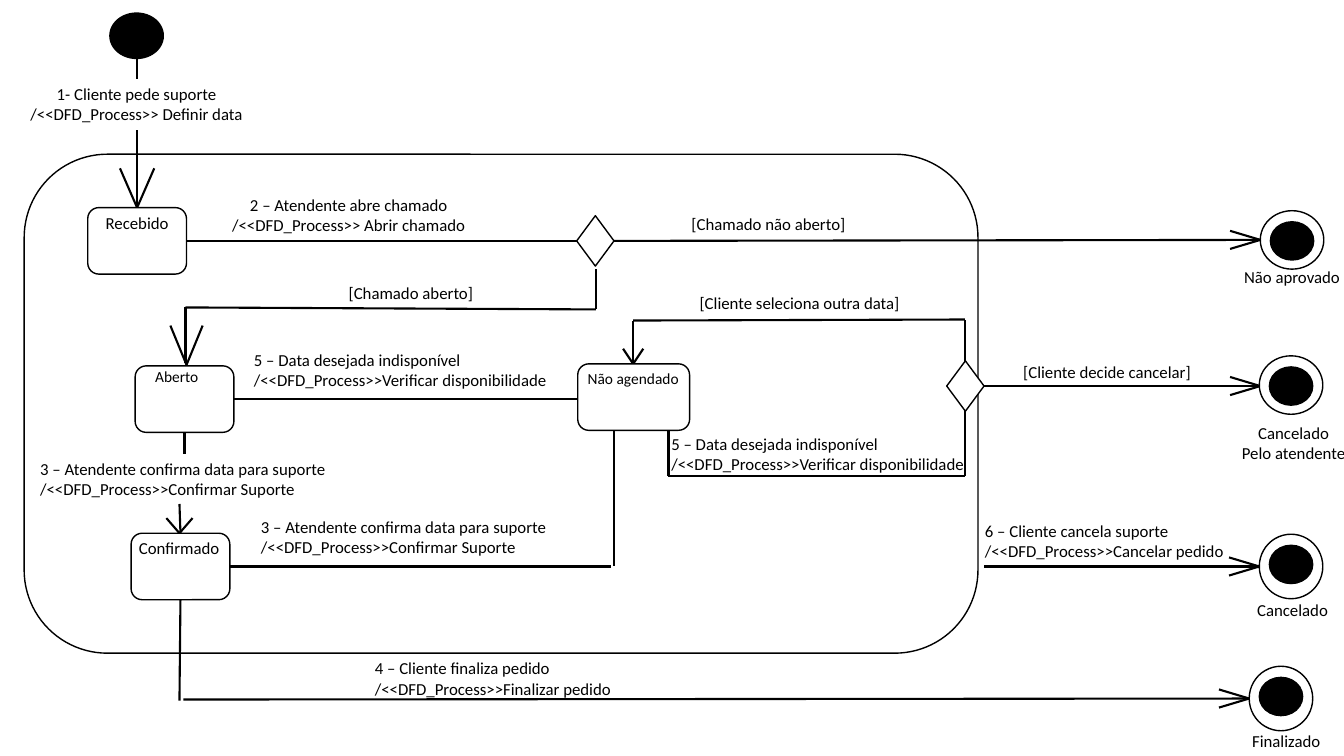
import pptx
import pptx.util
import pptx.dml.color
import pptx.enum.shapes
import pptx.enum.text
import pptx.oxml.ns
from lxml import etree

Inches = pptx.util.Inches
Shape = pptx.enum.shapes.MSO_SHAPE
Align = pptx.enum.text.PP_ALIGN

BLACK, WHITE = "000000", "FFFFFF"
STATE_WIDTH, STATE_HEIGHT = 0.98, 0.66


def color(value):
    return pptx.dml.color.RGBColor.from_string(value)


def add_outline(page, kind, left, top, width, height, fill=WHITE):
    shape = page.shapes.add_shape(
        kind, Inches(left), Inches(top), Inches(width), Inches(height))
    shape.shadow.inherit = False
    shape.fill.solid()
    shape.fill.fore_color.rgb = color(fill)
    shape.line.color.rgb = color(BLACK)
    shape.line.width = pptx.util.Pt(1)
    return shape


def add_text(page, text, left, top, width, size=12, align=Align.LEFT, wrap=True):
    lines = text.split("\n")
    height = 0.1 + 0.2 * len(lines)
    box = page.shapes.add_textbox(
        Inches(left), Inches(top), Inches(width), Inches(height))
    frame = box.text_frame
    frame.word_wrap = wrap
    frame.auto_size = pptx.enum.text.MSO_AUTO_SIZE.SHAPE_TO_FIT_TEXT
    for index, line in enumerate(lines):
        para = frame.add_paragraph() if index else frame.paragraphs[0]
        para.alignment = align
        span = para.add_run()
        span.text = line
        span.font.name = "Calibri"
        span.font.size = pptx.util.Pt(size)
        span.font.color.rgb = color(BLACK)


def add_path(page, *points):
    """Join consecutive points with straight lines."""
    for start, end in zip(points, points[1:]):
        line = page.shapes.add_connector(
            pptx.enum.shapes.MSO_CONNECTOR.STRAIGHT,
            *(Inches(value) for value in start + end))
        line.line.color.rgb = color(BLACK)
        line.line.width = pptx.util.Pt(1.5)
        etree.SubElement(line._element.spPr, pptx.oxml.ns.qn("a:effectLst"))


def add_head_down(page, x, y, length, spread):
    add_path(page, (x - spread, y - length), (x, y), (x + spread, y - length))


def add_head_right(page, x, y, length=0.3, spread=0.09):
    add_path(page, (x - length, y - spread), (x, y), (x - length, y + spread))


def add_state(page, left, top, width=STATE_WIDTH):
    add_outline(page, Shape.ROUNDED_RECTANGLE, left, top, width, STATE_HEIGHT)


def add_decision(page, left, top):
    add_outline(page, Shape.DIAMOND, left, top, 0.37, 0.5)


def add_dot(page, left, top, width=0.43, height=0.38):
    add_outline(page, Shape.OVAL, left, top, width, height, fill=BLACK)


def add_final(page, left, top, height):
    add_outline(page, Shape.OVAL, left, top, 0.63, height)
    add_dot(page, left + 0.1, top + 0.11)


def main():
    deck = pptx.Presentation()
    deck.slide_width, deck.slide_height = Inches(13.33), Inches(7.5)
    page = deck.slides.add_slide(deck.slide_layouts[6])

    # Enclosing state
    add_outline(page, Shape.ROUNDED_RECTANGLE, 0.24, 1.53, 9.46, 4.95)

    # Transitions
    for points in (
        [(1.36, 0.58), (1.36, 0.78)],
        [(1.36, 1.29), (1.36, 2.06)],
        [(1.85, 2.39), (5.72, 2.39)],
        [(6.09, 2.39), (12.5, 2.38)],
        [(5.91, 2.67), (5.91, 3.07), (1.84, 3.05), (1.84, 3.6)],
        [(2.32, 3.96), (5.72, 3.96)],
        [(1.83, 4.29), (1.83, 4.5)],
        [(1.78, 5), (1.79, 5.29)],
        [(6.09, 4.26), (6.09, 5.62)],
        [(6.06, 5.62), (2.28, 5.62)],
        [(6.63, 4.28), (6.63, 4.72), (9.57, 4.72), (9.57, 4.08)],
        [(9.57, 3.58), (9.57, 3.17), (6.28, 3.18), (6.28, 3.61)],
        [(9.76, 3.83), (12.5, 3.83)],
        [(9.76, 5.62), (12.49, 5.62)],
        [(1.79, 5.95), (1.78, 6.95)],
        [(1.82, 6.94), (12.39, 6.93)],
    ):
        add_path(page, *points)

    # Arrowheads
    for x, y, length, spread in (
        (1.36, 2.06, 0.39, 0.17),
        (1.85, 3.62, 0.39, 0.16),
        (1.78, 5.29, 0.15, 0.13),
        (6.28, 3.61, 0.15, 0.1),
    ):
        add_head_down(page, x, y, length, spread)
    for x, y in ((12.5, 2.38), (12.5, 3.83), (12.49, 5.62), (12.39, 6.93)):
        add_head_right(page, x, y)

    # Start, states, decisions and final states
    add_dot(page, 1.09, 0.13, 0.53, 0.45)
    for left, top in ((0.87, 2.06), (1.34, 3.63), (1.3, 5.29)):
        add_state(page, left, top)
    add_state(page, 5.73, 3.61, width=1.11)
    add_decision(page, 5.72, 2.14)
    add_decision(page, 9.39, 3.58)
    for left, top, height in ((12.5, 2.09, 0.58), (12.49, 3.53, 0.58),
                              (12.49, 5.3, 0.64), (12.39, 6.61, 0.64)):
        add_final(page, left, top, height)

    # State names
    add_text(page, "Recebido", 0.95, 2.06, 0.9)
    add_text(page, "Aberto", 1.44, 3.59, 0.99, size=11)
    add_text(page, "Não agendado", 5.73, 3.61, 1.11, size=11)
    add_text(page, "Confirmado", 1.28, 5.29, 1.14)
    add_text(page, "Não aprovado", 12.24, 2.6, 1.18)
    add_text(page, "Cancelado\nPelo atendente", 12.14, 4.14, 1.38, align=Align.CENTER)
    add_text(page, "Cancelado", 12.37, 5.9, 1.19)
    add_text(page, "Finalizado", 12.32, 7.2, 1.19)

    # Conditions
    add_text(page, "[Chamado não aberto]", 6.76, 2.07, 2.28)
    add_text(page, "[Chamado aberto]", 3.36, 2.76, 1.83)
    add_text(page, "[Cliente seleciona outra data]", 6.84, 2.86, 2.28)
    add_text(page, "[Cliente decide cancelar]", 10.05, 3.54, 1.93)

    # Events and their processes
    add_text(page, "1- Cliente pede suporte\n/<<DFD_Process>> Definir data",
             0.19, 0.78, 2.33, align=Align.CENTER, wrap=False)
    add_text(page, "2 – Atendente abre chamado\n/<<DFD_Process>> Abrir chamado",
             1.88, 1.88, 3.16, align=Align.CENTER)
    confirm = "3 – Atendente confirma data para suporte\n/<<DFD_Process>>Confirmar Suporte"
    for left, top in ((0.3, 4.5), (2.49, 5.08)):
        add_text(page, confirm, left, top, 3.06, wrap=False)
    add_text(page, "4 – Cliente finaliza pedido\n/<<DFD_Process>>Finalizar pedido",
             3.62, 6.48, 3.34)
    unavailable = "5 – Data desejada indisponível\n/<<DFD_Process>>Verificar disponibilidade"
    for left, top in ((2.42, 3.42), (6.56, 4.25)):
        add_text(page, unavailable, left, top, 3.14, wrap=False)
    add_text(page, "6 – Cliente cancela suporte\n/<<DFD_Process>>Cancelar pedido",
             9.67, 5.12, 2.59, wrap=False)

    deck.save("out.pptx")


main()
